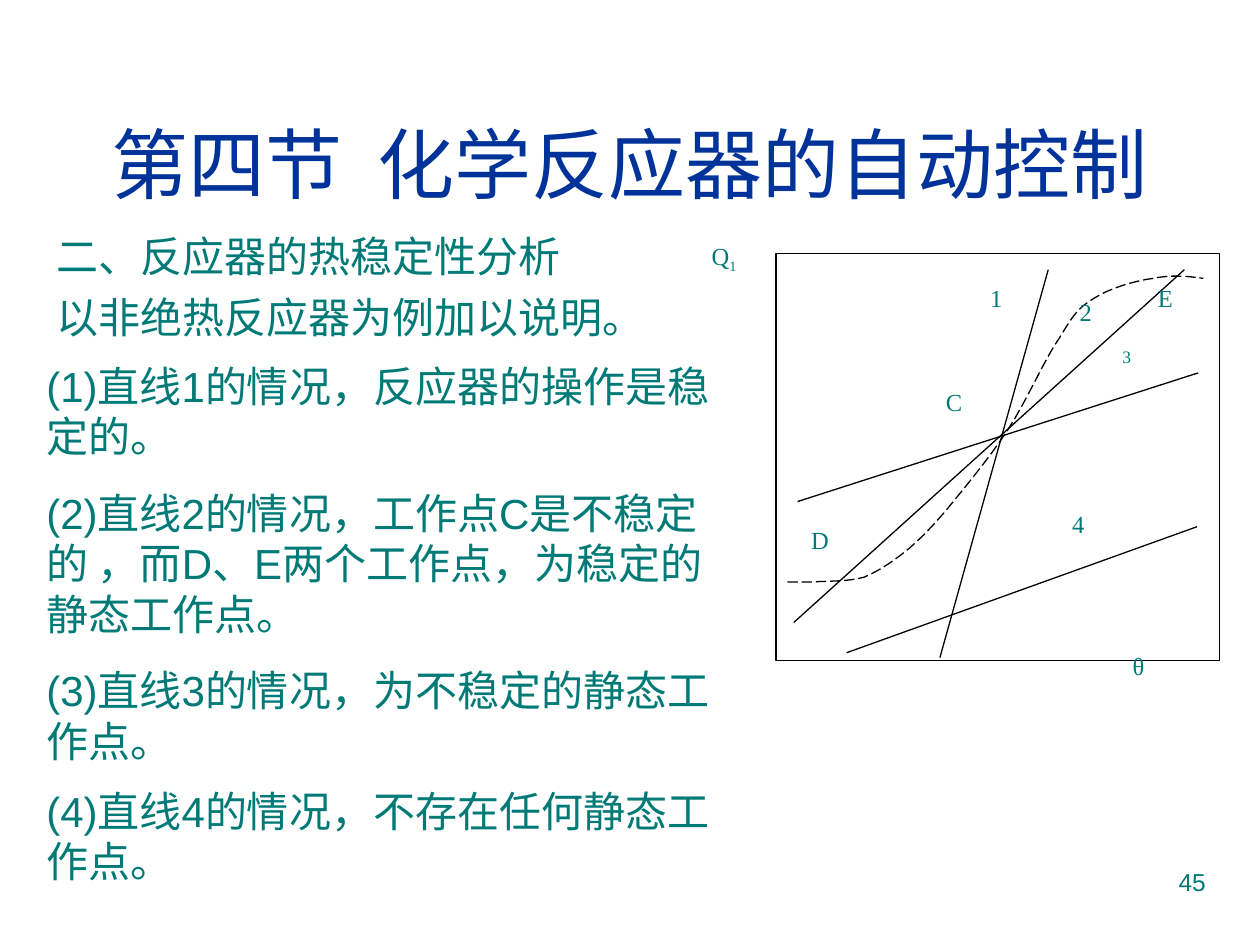
from lxml.etree import SubElement
from pptx import Presentation
from pptx.dml.color import RGBColor
from pptx.enum.dml import MSO_LINE
from pptx.enum.shapes import MSO_CONNECTOR, MSO_SHAPE
from pptx.enum.text import MSO_ANCHOR, PP_ALIGN
from pptx.oxml.ns import qn
from pptx.util import Pt

TEAL = RGBColor(0x00, 0x7A, 0x77)
NAVY = RGBColor(0x00, 0x33, 0x99)
BLACK = RGBColor(0, 0, 0)

TITLE = "第四节  化学反应器的自动控制"
INTRO = ["二、反应器的热稳定性分析", "以非绝热反应器为例加以说明。"]
CASES = [
    "(1)直线1的情况，反应器的操作是稳定的。",
    "(2)直线2的情况，工作点C是不稳定的 ，而D、E两个工作点，为稳定的静态工作点。",
    "(3)直线3的情况，为不稳定的静态工作点。",
    "(4)直线4的情况，不存在任何静态工作点。",
]
LINES = [
    (453.6, 355.7, 676.8, 154.1),
    (483.8, 373, 684, 301),
    (537.1, 375.8, 599, 154.1),
    (455.8, 286.6, 684.7, 213.1),
]
CURVE = [
    (450, 332.6), (453.6, 332.6), (457.2, 332.6), (464.4, 332.6),
    (471.6, 331.9), (484.6, 332.6), (493.9, 329.8),
    (502.6, 326.2), (511.9, 319.7), (519.8, 313.2),
    (527, 306.7), (531.4, 302.4), (540.7, 291.6),
    (550.1, 280.1), (565.2, 262.1), (576, 245.5),
    (586.8, 229), (596.9, 205.2), (605.5, 193),
    (613.4, 180), (615.6, 176.4), (625, 170.6),
    (633.6, 164.9), (648, 160.6), (658.8, 159.1),
    (668.9, 157), (678.2, 157.7), (687.6, 159.1),
]
LABELS = [
    ("1", 558.7, 158.4, 36.7, 41.8, 14),
    ("4", 605.5, 287.3, 42.5, 34.6, 14),
    ("C", 533.5, 217.4, 69.8, 41.8, 14),
    ("θ", 640.1, 368.6, 69.8, 41.8, 14),
    ("D", 456.5, 296.6, 69.8, 41.8, 14),
    ("3", 634.3, 194.4, 49, 41.8, 10),
    ("E", 654.5, 158.4, 36.7, 34.6, 14),
    ("2", 609.8, 166.3, 51.1, 41.8, 14),
]


def trace(pts, steps=8):
    """Return points along a chain of cubic curves."""
    out = [pts[0]]
    for i in range(0, len(pts) - 1, 3):
        for k in range(1, steps + 1):
            t = k / steps
            u = 1 - t
            mix = (u**3, 3 * u * u * t, 3 * u * t * t, t**3)
            out.append(tuple(sum(m * p[j] for m, p in zip(mix, pts[i:i + 4]))
                             for j in (0, 1)))
    return out


class Page:
    """Hold the style and the current slide."""

    def __init__(self, slide, font="Arial", color=TEAL, ink=BLACK, weight=0.75):
        self.shapes = slide.shapes
        self.font, self.color = font, color
        self.ink, self.weight = ink, weight

    def pen(self, shape):
        shape.line.color.rgb = self.ink
        shape.line.width = Pt(self.weight)

    def text(self, text, x, y, w, h, size=24, font=None, color=None,
             align=PP_ALIGN.LEFT, anchor=MSO_ANCHOR.TOP, gaps=(), sub=None):
        box = self.shapes.add_textbox(Pt(x), Pt(y), Pt(w), Pt(h))
        frame = box.text_frame
        frame.word_wrap = True
        frame.vertical_anchor = anchor
        frame.text = text
        for par, gap in zip(frame.paragraphs[1:], gaps):
            par.space_before = Pt(gap)
        if sub:
            run = frame.paragraphs[0].add_run()
            run.text = sub
            run.font._element.set("baseline", "-25000")
        for par in frame.paragraphs:
            par.alignment = align
            for run in par.runs:
                run.font.size = Pt(size)
                run.font.name = font or self.font
                run.font.color.rgb = color or self.color

    def frame(self, x, y, w, h):
        box = self.shapes.add_shape(MSO_SHAPE.RECTANGLE, Pt(x), Pt(y), Pt(w), Pt(h))
        box.shadow.inherit = False
        box.fill.background()
        self.pen(box)

    def line(self, x1, y1, x2, y2):
        line = self.shapes.add_connector(
            MSO_CONNECTOR.STRAIGHT, Pt(x1), Pt(y1), Pt(x2), Pt(y2))
        self.pen(line)
        SubElement(line._element.spPr, qn("a:effectLst"))

    def curve(self, pts):
        pts = [(Pt(x), Pt(y)) for x, y in trace(pts)]
        path = self.shapes.build_freeform(*pts[0])
        path.add_line_segments(pts[1:], close=False)
        curve = path.convert_to_shape()
        curve.shadow.inherit = False
        curve.fill.background()
        self.pen(curve)
        curve.line.dash_style = MSO_LINE.LONG_DASH


def main():
    deck = Presentation()
    deck.slide_width, deck.slide_height = Pt(720), Pt(540)
    page = Page(deck.slides.add_slide(deck.slide_layouts[6]))
    page.text("45", 516.2, 491.8, 180, 37.4, size=14, align=PP_ALIGN.RIGHT)
    page.text(TITLE, 23.8, 48.2, 672.5, 90, size=44, color=NAVY,
              align=PP_ALIGN.CENTER, anchor=MSO_ANCHOR.MIDDLE)
    page.text("\n".join(INTRO), 25.2, 128.2, 672.5, 330.5, gaps=[6])
    page.frame(443.5, 144.7, 253.4, 232.6)
    for ends in LINES:
        page.line(*ends)
    page.curve(CURVE)
    serif = "Times New Roman"
    page.text("Q", 399.6, 133.9, 51.1, 41.8, size=14, font=serif, sub="1")
    for name, x, y, w, h, size in LABELS:
        page.text(name, x, y, w, h, size=size, font=serif)
    page.text("\n".join(CASES), 19.4, 202.3, 402.5, 308.2, gaps=[15, 15, 11.2])
    deck.save("out.pptx")


if __name__ == "__main__":
    main()
